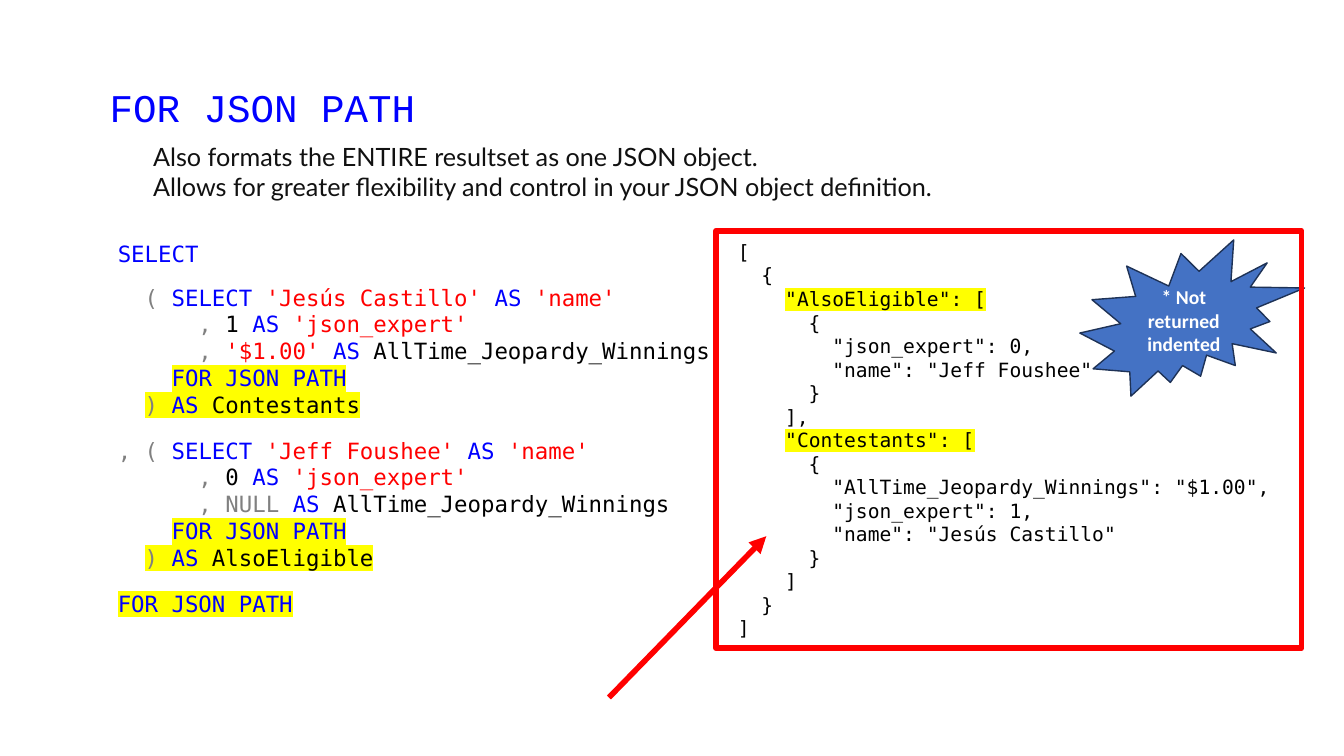
from lxml import etree
from pptx import Presentation
from pptx.dml.color import RGBColor
from pptx.enum.shapes import MSO_CONNECTOR, MSO_SHAPE
from pptx.enum.text import MSO_ANCHOR, PP_ALIGN
from pptx.oxml.ns import qn
from pptx.util import Emu, Pt

STRAIGHT = MSO_CONNECTOR.STRAIGHT
RECTANGLE = MSO_SHAPE.RECTANGLE
STARBURST = MSO_SHAPE.EXPLOSION2
MIDDLE = MSO_ANCHOR.MIDDLE
CENTER = PP_ALIGN.CENTER

BLUE = RGBColor(0x00, 0x00, 0xFF)
RED = RGBColor(0xFF, 0x00, 0x00)
GRAY = RGBColor(0x80, 0x80, 0x80)
BLACK = RGBColor(0x00, 0x00, 0x00)
INK = RGBColor(0x11, 0x11, 0x11)
WHITE = RGBColor(0xFF, 0xFF, 0xFF)
BURST_FILL = RGBColor(0x44, 0x72, 0xC4)
BURST_LINE = RGBColor(0x1E, 0x32, 0x56)
MARKER = "FFFF00"

CODE_FONT = "DejaVu Sans Mono"
EMU_PER_PX = 9144  # 100 px to the inch

JSON_RESULT = """[
  {
    "AlsoEligible": [
      {
        "json_expert": 0,
        "name": "Jeff Foushee"
      }
    ],
    "Contestants": [
      {
        "AllTime_Jeopardy_Winnings": "$1.00",
        "json_expert": 1,
        "name": "Jesús Castillo"
      }
    ]
  }
]"""

FOR_JSON_PATH = [("FOR JSON PATH", BLUE, True)]


def px(length):
    return Emu(length * EMU_PER_PX)


def subquery(opening, name, expert, winnings, alias):
    """Return the code lines of one nested SELECT, each a list of spans."""
    return [
        [(opening, GRAY), ("SELECT ", BLUE), (f"'{name}' ", RED), ("AS ", BLUE), ("'name'", RED)],
        [("      ,", GRAY), (f" {expert} ", BLACK), ("AS ", BLUE), ("'json_expert'", RED)],
        [("      , ", GRAY), winnings, ("AS ", BLUE), ("AllTime_Jeopardy_Winnings", BLACK)],
        [("    ", BLUE)] + FOR_JSON_PATH,
        [("  ", BLUE), (")", GRAY, True), (" AS", BLUE, True), (f" {alias}", BLACK, True)],
    ]


def json_lines():
    """Return the JSON result as code lines, with array keys highlighted."""
    lines = []
    for line in JSON_RESULT.splitlines():
        if line.endswith(": ["):
            key = line.lstrip()
            indent = line[:-len(key)]
            lines.append([(indent, BLACK), (key, BLACK, True)])
        else:
            lines.append([(line, BLACK)])
    return lines


def add_span(para, text, color, highlighted=False):
    span = para.add_run()
    span.text = text
    span.font.color.rgb = color
    if highlighted:
        highlight = etree.SubElement(span.font._element, qn("a:highlight"))
        etree.SubElement(highlight, qn("a:srgbClr"), val=MARKER)


def add_text(page, place, lines, font, size, line_height=None, gaps=None):
    """Add a text box; gaps maps a line's index to its space before in points."""
    frame = page.shapes.add_textbox(*map(px, place)).text_frame
    frame.word_wrap = True
    for index, spans in enumerate(lines):
        para = frame.add_paragraph() if index else frame.paragraphs[0]
        para.font.name = font
        para.font.size = Pt(size)
        if line_height:
            para.line_spacing = Pt(line_height)
        if gaps and index in gaps:
            para.space_before = Pt(gaps[index])
        for span in spans:
            add_span(para, *span)


def add_shape(page, kind, place, fill, line, line_width):
    shape = page.shapes.add_shape(kind, *map(px, place))
    shape.shadow.inherit = False
    if fill is None:
        shape.fill.background()
    else:
        shape.fill.solid()
        shape.fill.fore_color.rgb = fill
    shape.line.color.rgb = line
    shape.line.width = Pt(line_width)
    return shape


def add_burst(page, place, text):
    frame = add_shape(page, STARBURST, place, BURST_FILL, BURST_LINE, 1).text_frame
    frame.word_wrap = True
    frame.vertical_anchor = MIDDLE
    para = frame.paragraphs[0]
    para.alignment = CENTER
    para.font.name = "Calibri"
    para.font.size = Pt(14)
    para.font.bold = True
    add_span(para, text, WHITE)


def add_arrow(page, start, end):
    arrow = page.shapes.add_connector(STRAIGHT, *map(px, start + end))
    arrow.line.color.rgb = RED
    arrow.line.width = Pt(4)
    etree.SubElement(arrow.line._get_or_add_ln(), qn("a:tailEnd"), type="triangle")
    etree.SubElement(arrow._element.spPr, qn("a:effectLst"))


def main():
    deck = Presentation()
    deck.slide_width, deck.slide_height = px(1333), px(750)
    page = deck.slides.add_slide(deck.slide_layouts[6])

    add_text(page, (99, 78, 1133, 57), [[("FOR JSON PATH", BLUE)]], "Courier New", 28)

    query = [
        [("SELECT", BLUE)],
        *subquery("  ( ", "Jesús Castillo", 1, ("'$1.00' ", RED), "Contestants"),
        *subquery(", ( ", "Jeff Foushee", 0, ("NULL ", GRAY), "AlsoEligible"),
        FOR_JSON_PATH,
    ]
    add_text(page, (107, 233, 611, 397), query, CODE_FONT, 16, 19.1,
             {1: 12.3, 6: 13.8, 11: 13.8})

    summary = [
        [("Also formats the ENTIRE resultset as one JSON object.", INK)],
        [("Allows for greater flexibility and control in your JSON object definition.", INK)],
    ]
    add_text(page, (142, 135, 1013, 71), summary, "Lato", 18)

    add_text(page, (722, 233, 560, 411), json_lines(), CODE_FONT, 14, 16.8)
    add_burst(page, (1071, 238, 223, 155), "* Not returned indented")
    add_shape(page, RECTANGLE, (710, 229, 581, 414), None, RED, 4)
    add_arrow(page, (604, 692), (760, 532))

    deck.save("out.pptx")


if __name__ == "__main__":
    main()
